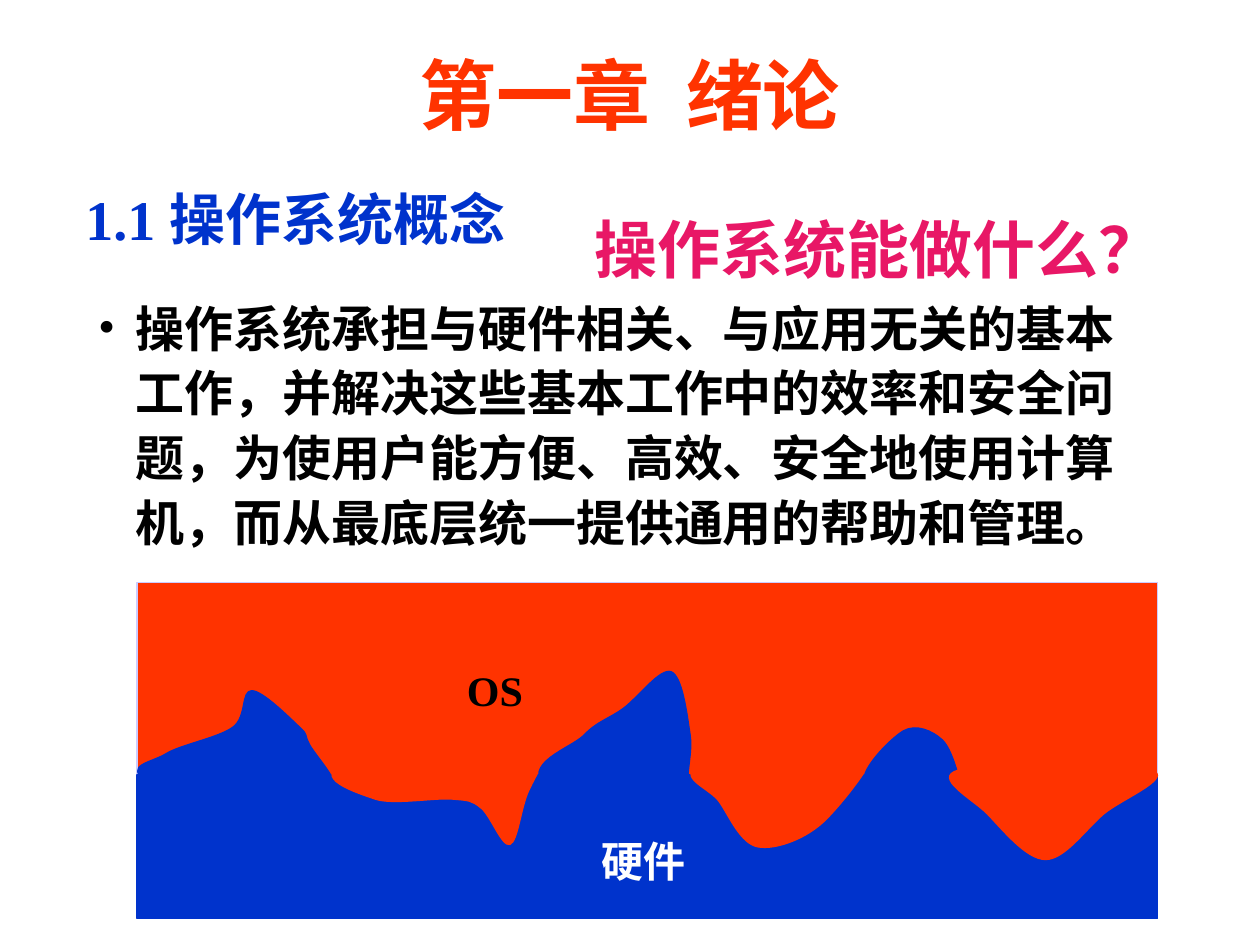
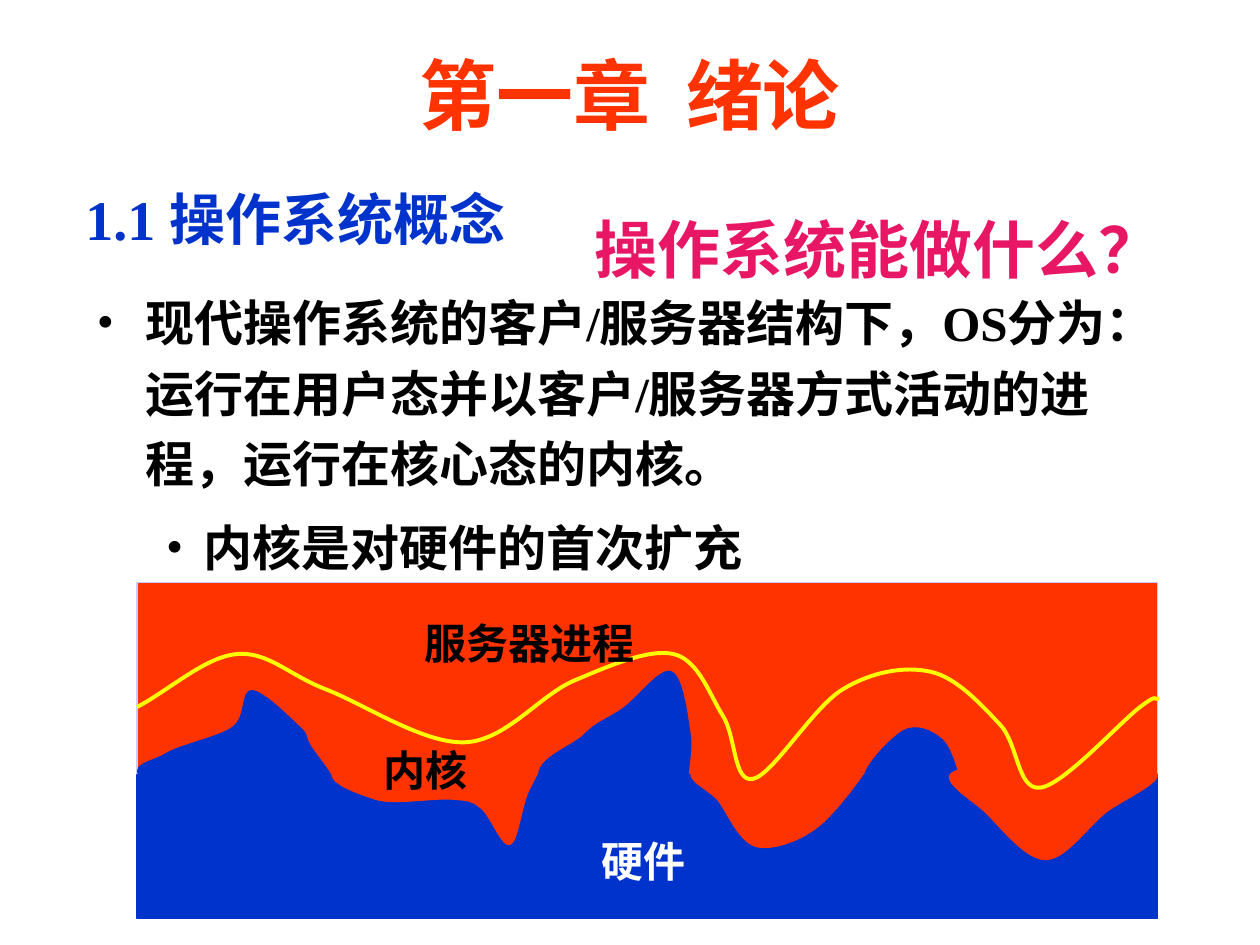
import pptx
import pptx.dml.color
import pptx.enum.lang
import pptx.enum.shapes
import pptx.enum.text
import pptx.oxml.ns
import pptx.util
from lxml import etree

RGB = pptx.dml.color.RGBColor
ALIGN = pptx.enum.text.PP_ALIGN
ANCHOR = pptx.enum.text.MSO_ANCHOR
qn = pptx.oxml.ns.qn
RED = RGB(0xFF, 0x33, 0x00)
BLUE = RGB(0x00, 0x33, 0xCC)
PINK = RGB(0xE8, 0x17, 0x66)
LAVENDER = RGB(0xCC, 0xCC, 0xFF)
YELLOW = RGB(0xFF, 0xFF, 0x00)
BLACK = RGB(0x00, 0x00, 0x00)
WHITE = RGB(0xFF, 0xFF, 0xFF)

LATIN = "Times New Roman"
CJK = "Noto Sans CJK SC"

SLIDE_W = pptx.util.Inches(10)
SLIDE_H = pptx.util.Inches(7.5)
CELL = SLIDE_W / 100

TITLE = (7.5, 2.8, 85, 9.2)
HEADING = (5.8, 14.15, 37.5, 6.3)
QUESTION = (47.1, 16.2, 45.1, 7.1)
LANDSCAPE = (10.88, 46.22, 81, 26.7)
HORIZON = 15.3

TERRAIN = [
    (BLUE, [(0.7, 15.8), (2.3, 13.6), (7.6, 11.5), (9.1, 8.6),
            (12.9, 11.5), (13.7, 12.9), (16, 17.2), (12.9, 21.5)]),
    (RED, [(16.6, 14.3), (18.9, 17.2), (25, 17.2), (27.3, 17.9),
           (29.6, 20.8), (31.1, 16.5), (33.4, 12.9), (37.2, 10)]),
    (BLUE, [(32.5, 16.4), (35.5, 12.1), (38.6, 10), (42.4, 7.1),
            (43.9, 12.1), (43.9, 17.1), (47, 22.1), (48.5, 24.3)]),
    (RED, [(44.7, 14.5), (46.2, 17.4), (49.3, 21), (54.7, 18.8), (58.5, 11.7)]),
    (BLUE, [(57.8, 16.1), (60.8, 11.8), (63.9, 12.5), (65.4, 16.1), (65.4, 17.5)]),
    (RED, [(65.2, 14.9), (67.5, 18.4), (72.1, 22), (76.7, 18.4), (80.5, 14.9)]),
]
KERNEL_BORDER = [
    (0, 9.9), (7.9, 5.7), (15, 8.5), (26, 12.7), (34.7, 7.8), (42.6, 5.7),
    (46.5, 10.6), (48.9, 15.6), (56, 8.5), (63, 7.1), (68.5, 11.3),
    (71.7, 16.3), (79.6, 9.9), (81.1, 9.2),
]


def emu(cells):
    return round(cells * CELL)


def within(box, left, top, width, height):
    return box[0] + left, box[1] + top, width, height


def add_run(p, text, size, color, font=LATIN, spacing=0):
    r = p.add_run()
    r.text = text
    r.font.size = pptx.util.Pt(size)
    r.font.bold = True
    r.font.color.rgb = color
    r.font.name = font
    r.font.language_id = pptx.enum.lang.MSO_LANGUAGE_ID.SIMPLIFIED_CHINESE
    rpr = r.font._element
    rpr.find(qn("a:latin")).addnext(etree.Element(qn("a:ea"), typeface=CJK))
    if spacing:
        rpr.set("spc", str(spacing * 100))


def add_text(slide, box, align=ALIGN.LEFT, anchor=ANCHOR.TOP):
    sp = slide.shapes.add_textbox(*map(emu, box))
    tf = sp.text_frame
    tf.word_wrap = True
    tf.vertical_anchor = anchor
    p = tf.paragraphs[0]
    p.alignment = align
    return tf, p


def add_label(slide, box, text, color=BLACK, size=24):
    tf, p = add_text(slide, box)
    add_run(p, text, size, color)


def add_bullet(slide, box, text, indent, line_spacing):
    tf, p = add_text(slide, box)
    ppr = p._p.get_or_add_pPr()
    ppr.set("marL", str(emu(indent)))
    ppr.set("indent", str(-emu(indent)))
    etree.SubElement(ppr, qn("a:buFont"), typeface=LATIN)
    etree.SubElement(ppr, qn("a:buChar"), char="•")
    p.line_spacing = line_spacing
    add_run(p, text, 28, BLACK)


def spline_points(knots, closed):
    if closed:
        ring = [knots[-1], *knots, *knots[:2]]
    else:
        (ax, ay), (bx, by) = knots[:2]
        (cx, cy), (dx, dy) = knots[-2:]
        ring = [(2 * ax - bx, 2 * ay - by), *knots, (2 * dx - cx, 2 * dy - cy)]
    points = [knots[0]]
    for before, start, end, after in zip(ring, ring[1:], ring[2:], ring[3:]):
        points.append(tuple(s + (e - b) / 6 for b, s, e in zip(before, start, end)))
        points.append(tuple(e - (a - s) / 6 for s, e, a in zip(start, end, after)))
        points.append(end)
    return points


def bend_segments(sp):
    lines = list(sp._element.iter(qn("a:lnTo")))
    for first, second, third in zip(lines[::3], lines[1::3], lines[2::3]):
        first.tag = qn("a:cubicBezTo")
        for line in (second, third):
            first.append(line[0])
            line.getparent().remove(line)


def style(sp, fill, line, width=0.75):
    sp.shadow.inherit = False
    if fill is None:
        sp.fill.background()
    else:
        sp.fill.solid()
        sp.fill.fore_color.rgb = fill
    sp.line.color.rgb = line
    sp.line.width = pptx.util.Pt(width)


def add_curve(slide, box, knots, fill, line, width=0.75):
    closed = fill is not None
    points = [(emu(box[0] + x), emu(box[1] + y))
              for x, y in spline_points(knots, closed)]
    builder = slide.shapes.build_freeform(*points[0])
    builder.add_line_segments(points[1:], close=False)
    sp = builder.convert_to_shape()
    bend_segments(sp)
    if closed:
        outline = next(sp._element.iter(qn("a:path")))
        etree.SubElement(outline, qn("a:close"))
    style(sp, fill, line, width)


def draw_header(slide):
    tf, p = add_text(slide, TITLE, ALIGN.CENTER, ANCHOR.MIDDLE)
    add_run(p, "第一章", 44, RED)
    add_run(p, " ", 44, RED, spacing=10)
    add_run(p, "绪论", 44, RED)
    add_label(slide, HEADING, "1.1 操作系统概念", BLUE, 32)


def draw_question(slide):
    tf, p = add_text(slide, QUESTION, ALIGN.CENTER)
    tf.margin_left = tf.margin_right = 0
    add_run(p, "操作系统能做什么？", 36, PINK, CJK)


def draw_landscape(slide, box):
    width, height = box[2:]
    bands = [(0, HORIZON, RED, LAVENDER), (HORIZON, height - HORIZON, BLUE, BLUE)]
    for top, depth, fill, line in bands:
        sp = slide.shapes.add_shape(
            pptx.enum.shapes.MSO_SHAPE.RECTANGLE,
            *map(emu, within(box, 0, top, width, depth)))
        style(sp, fill, line)
    for color, knots in TERRAIN:
        add_curve(slide, box, knots, color, color)
    add_label(slide, within(box, 35.9, 19.6, 9.1, 5), "硬件", WHITE)


def draw_kernel_layer(slide, box):
    add_curve(slide, box, KERNEL_BORDER, None, YELLOW, 2.25)
    add_label(slide, within(box, 18.6, 12.4, 11, 5), "内核")
    add_label(slide, within(box, 21.8, 2.3, 21.3, 5), "服务器进程")


def build_role_slide(slide):
    draw_header(slide)
    add_bullet(
        slide, (6.8, 22.7, 84.3, 21.6),
        "操作系统承担与硬件相关、与应用无关的基本工作，并解决这些基本工作中的效率和安全问题，"
        "为使用户能方便、高效、安全地使用计算机，而从最底层统一提供通用的帮助和管理。",
        3, 1.1)
    draw_landscape(slide, LANDSCAPE)
    add_label(slide, within(LANDSCAPE, 25.2, 6, 8.4, 5), "OS")
    draw_question(slide)


def build_kernel_slide(slide):
    draw_header(slide)
    add_bullet(
        slide, (6.7, 21.8, 84.3, 17.8),
        "现代操作系统的客户/服务器结构下，OS分为：运行在用户态并以客户/服务器方式活动的进程，"
        "运行在核心态的内核。",
        3.9, 1.2)
    draw_landscape(slide, LANDSCAPE)
    draw_question(slide)
    draw_kernel_layer(slide, LANDSCAPE)
    add_bullet(slide, (12.2, 40.6, 61.4, 5.7), "内核是对硬件的首次扩充", 3, 1.0)


def main():
    prs = pptx.Presentation()
    prs.slide_width = SLIDE_W
    prs.slide_height = SLIDE_H
    for build in (build_role_slide, build_kernel_slide):
        build(prs.slides.add_slide(prs.slide_layouts[6]))
    prs.save("out.pptx")


if __name__ == "__main__":
    main()
